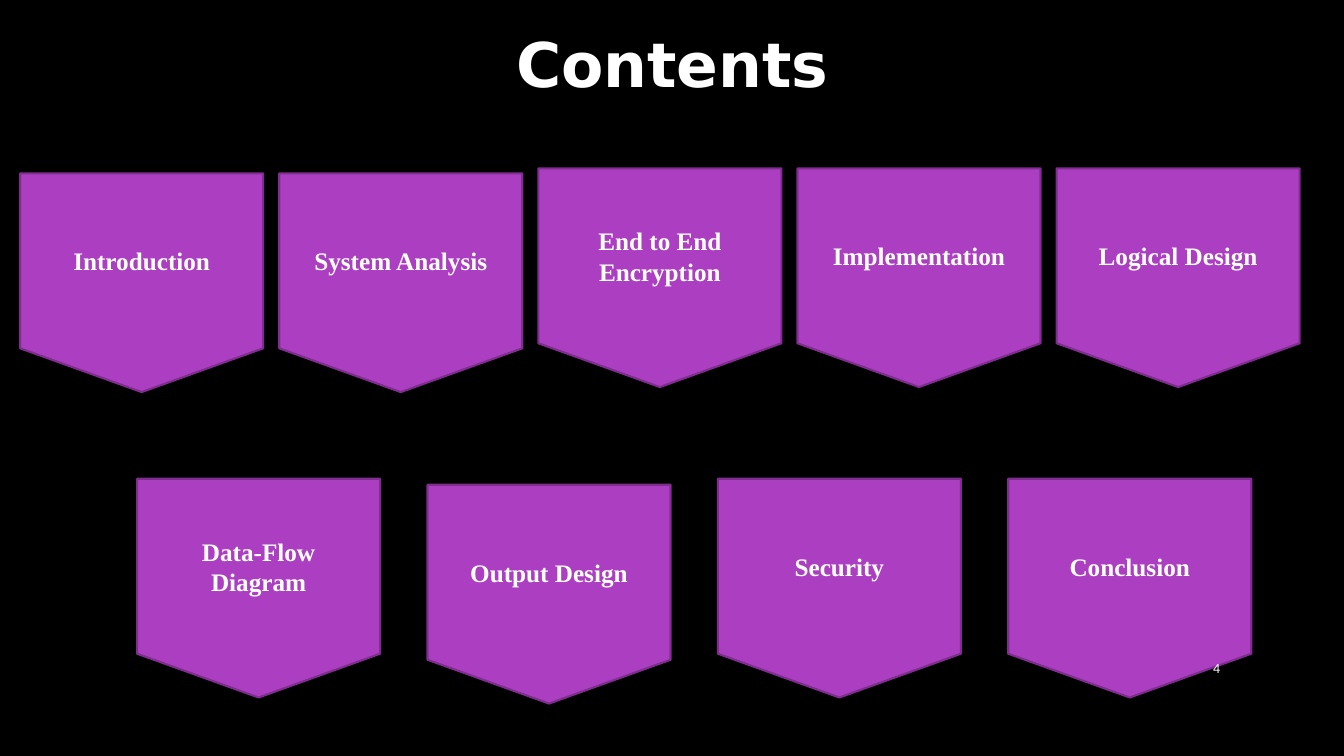
from dataclasses import dataclass

from pptx import Presentation
from pptx.dml.color import RGBColor
from pptx.enum.shapes import MSO_SHAPE
from pptx.enum.text import MSO_ANCHOR, MSO_AUTO_SIZE, PP_ALIGN
from pptx.util import Inches, Pt

# Content
TITLE = "Contents"
PAGE_NUMBER = "4"
# Each row: left edge, pitch, and its topics as (label, top)
ROWS = [
    (0.2, 2.57, [
        ("Introduction", 1.72),
        ("System Analysis", 1.72),
        ("End to End\nEncryption", 1.67),
        ("Implementation", 1.67),
        ("Logical Design", 1.67),
    ]),
    (1.36, 2.88, [
        ("Data-Flow\nDiagram", 4.75),
        ("Output Design", 4.81),
        ("Security", 4.75),
        ("Conclusion", 4.75),
    ]),
]
TAG_WIDTH, TAG_HEIGHT = 2.41, 2.17


@dataclass(frozen=True)
class Theme:
    background: RGBColor = RGBColor(0x00, 0x00, 0x00)
    text: RGBColor = RGBColor(0xFF, 0xFF, 0xFF)
    fill: RGBColor = RGBColor(0xAC, 0x3E, 0xC1)
    outline: RGBColor = RGBColor(0x7F, 0x2E, 0x8F)
    outline_width: Pt = Pt(1.5)


THEME = Theme()
TITLE_FONT = {"name": "DejaVu Sans", "size": Pt(44), "bold": True}
TAG_FONT = {"name": "Times New Roman", "size": Pt(18), "bold": True}
NUMBER_FONT = {"name": "Calibri", "size": Pt(10), "bold": False}


def write(shape, text, font, alignment, anchor):
    """Fill a shape with text, one paragraph per line."""
    frame = shape.text_frame
    frame.text = text
    frame.word_wrap = True
    frame.auto_size = MSO_AUTO_SIZE.NONE
    frame.vertical_anchor = anchor
    for paragraph in frame.paragraphs:
        paragraph.alignment = alignment
        for run in paragraph.runs:
            run.font.color.rgb = THEME.text
            for attribute, value in font.items():
                setattr(run.font, attribute, value)


def add_tag(slide, label, left, top):
    """Draw one topic tag pointing down."""
    shape = slide.shapes.add_shape(
        MSO_SHAPE.FLOWCHART_OFFPAGE_CONNECTOR,
        Inches(left), Inches(top), Inches(TAG_WIDTH), Inches(TAG_HEIGHT))
    shape.shadow.inherit = False
    shape.fill.solid()
    shape.fill.fore_color.rgb = THEME.fill
    shape.line.color.rgb = THEME.outline
    shape.line.width = THEME.outline_width
    write(shape, label, TAG_FONT, PP_ALIGN.CENTER, MSO_ANCHOR.MIDDLE)


def main():
    presentation = Presentation()
    presentation.slide_width = Inches(13.33)
    presentation.slide_height = Inches(7.5)
    slide = presentation.slides.add_slide(presentation.slide_layouts[5])
    slide.background.fill.solid()
    slide.background.fill.fore_color.rgb = THEME.background

    # Title
    title = slide.shapes.title
    title.left, title.top = Inches(4.51), Inches(0.21)
    title.width, title.height = Inches(4.32), Inches(0.84)
    write(title, TITLE, TITLE_FONT, PP_ALIGN.CENTER, MSO_ANCHOR.TOP)

    # Topic tags
    for row_left, pitch, topics in ROWS:
        for column, (label, top) in enumerate(topics):
            add_tag(slide, label, row_left + column * pitch, top)

    # Page number
    number = slide.shapes.add_textbox(
        Inches(11.6), Inches(6.42), Inches(0.6), Inches(0.41))
    write(number, PAGE_NUMBER, NUMBER_FONT, PP_ALIGN.RIGHT, MSO_ANCHOR.MIDDLE)

    presentation.save("out.pptx")


if __name__ == "__main__":
    main()
